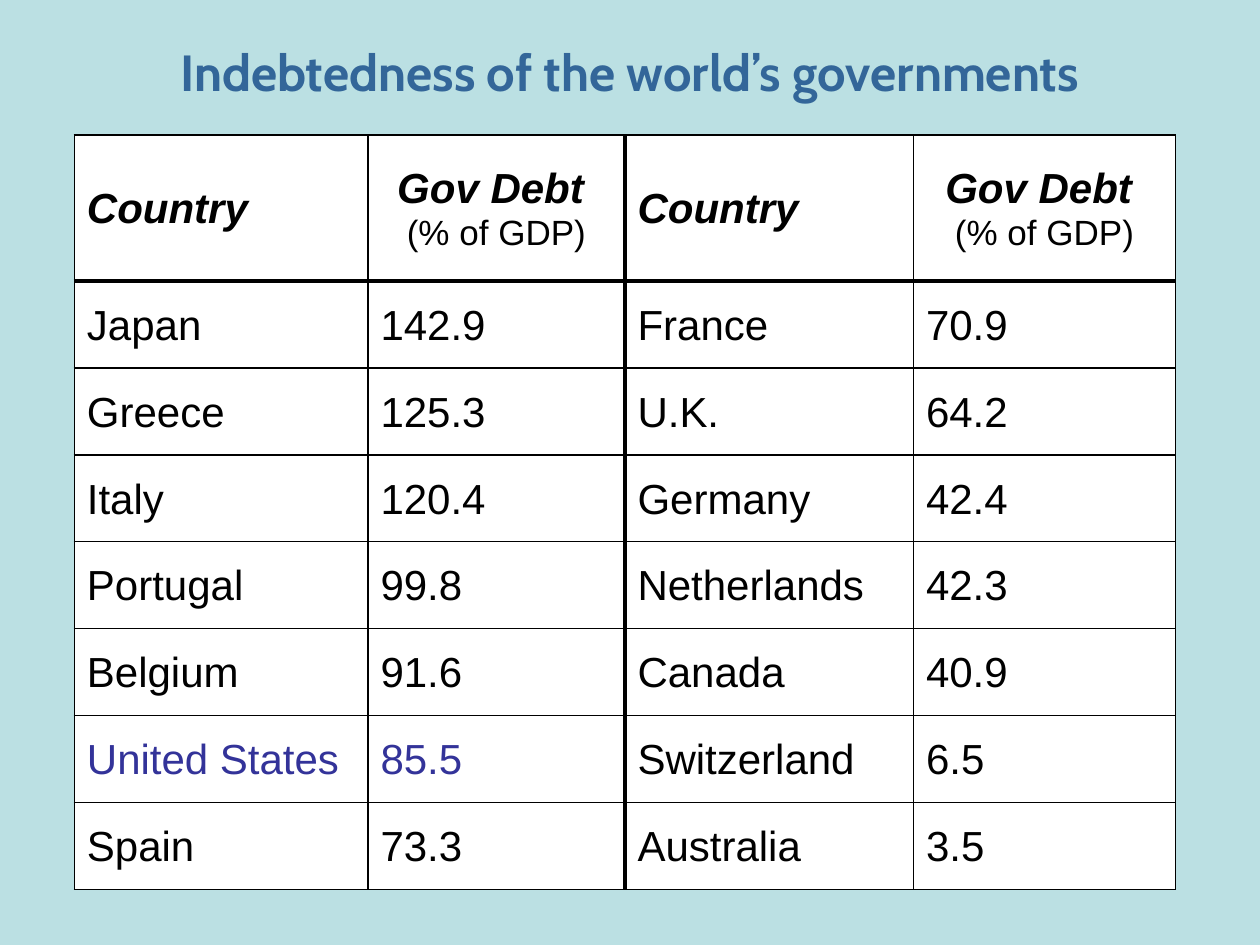
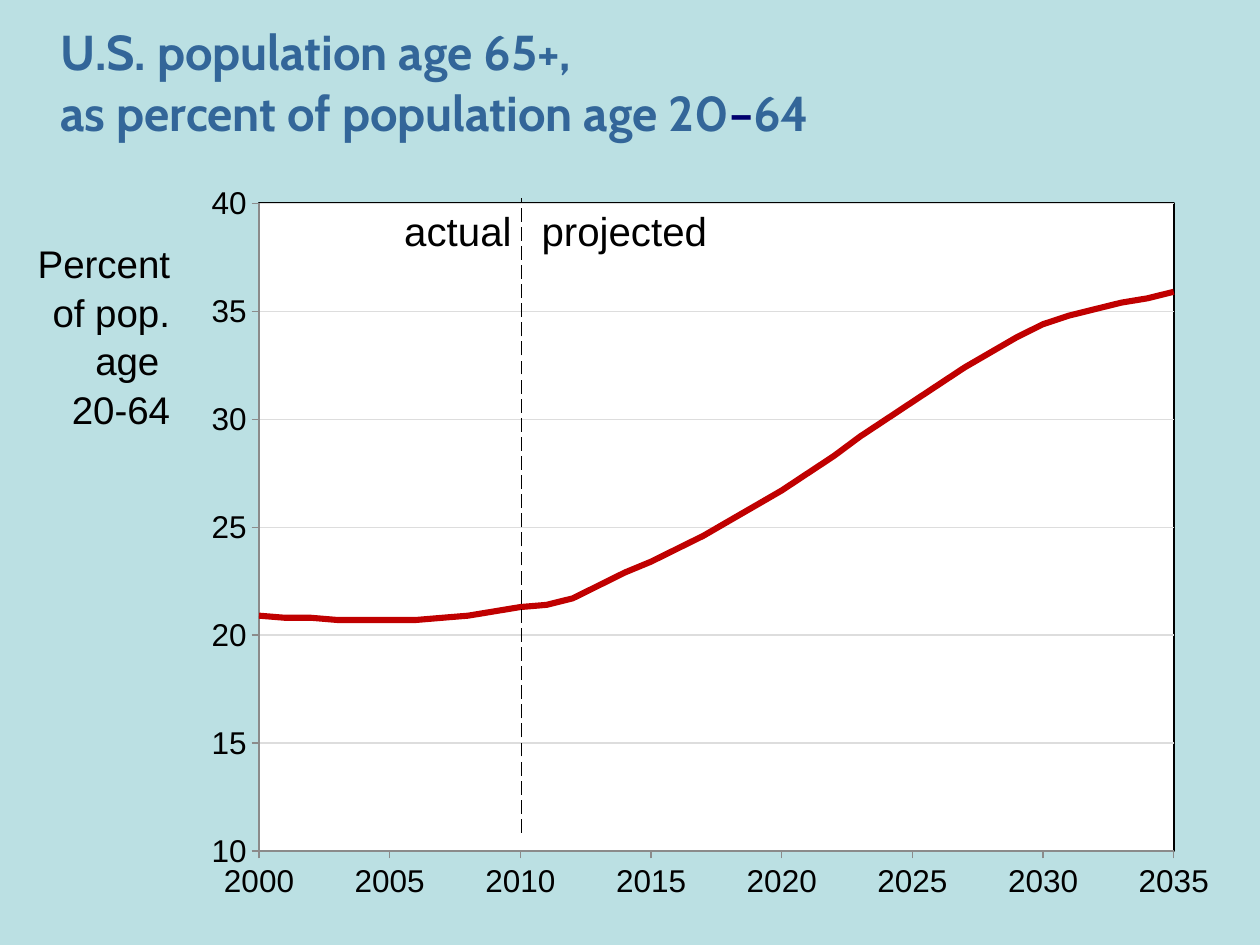
from collections import namedtuple
from copy import deepcopy

from lxml import etree
from pptx import Presentation
from pptx import util as u
from pptx.chart import data as chart_data
from pptx.dml.color import RGBColor
from pptx.enum import chart as chart_kinds, dml, shapes, text
from pptx.oxml import ns, parse_xml

BACKGROUND = RGBColor(0xBB, 0xE0, 0xE3)
TITLE_BLUE = RGBColor(0x33, 0x66, 0x99)
DASH_NAVY = RGBColor(0x00, 0x00, 0x6E)
HIGHLIGHT = RGBColor(0x33, 0x33, 0x99)
BLACK = RGBColor(0, 0, 0)
WHITE = RGBColor(255, 255, 255)
GRID_GREY = RGBColor(0xDD, 0xDD, 0xDD)
AXIS_GREY = RGBColor(0x8B, 0x8B, 0x8B)
CURVE_RED = RGBColor(0xC0, 0, 0)

TITLE_FONT, BODY_FONT = "Cabin", "Arial"
LINE_SPACING = 1.05
THIN, THICK = 1, 2.25
LEFT, CENTER, RIGHT = (text.PP_ALIGN.LEFT, text.PP_ALIGN.CENTER,
                       text.PP_ALIGN.RIGHT)

Box = namedtuple("Box", "left top width height")

DEBT_COLUMNS = [2.33, 2.04, 2.29, 2.08]
HEADER_HEIGHT, ROW_HEIGHT = 1.16, 0.69
DEBTS = [
    ("Japan", "142.9", "France", "70.9"),
    ("Greece", "125.3", "U.K.", "64.2"),
    ("Italy", "120.4", "Germany", "42.4"),
    ("Portugal", "99.8", "Netherlands", "42.3"),
    ("Belgium", "91.6", "Canada", "40.9"),
    ("United States", "85.5", "Switzerland", "6.5"),
    ("Spain", "73.3", "Australia", "3.5"),
]
HIGHLIGHTED = ("United States", "85.5")

FIRST_YEAR, LAST_YEAR = 2000, 2035
OLD_AGE_PERCENTS = [
    20.9, 20.8, 20.8, 20.7, 20.7, 20.7, 20.7, 20.8, 20.9, 21.1, 21.3, 21.4,
    21.7, 22.3, 22.9, 23.4, 24, 24.6, 25.3, 26, 26.7, 27.5, 28.3, 29.2,
    30, 30.8, 31.6, 32.4, 33.1, 33.8, 34.4, 34.8, 35.1, 35.4, 35.6, 35.9,
]


def inches(box):
    return [u.Inches(length) for length in box]


def add_text(para, words, size=24, font=BODY_FONT, color=BLACK, bold=False,
             italic=False, align=LEFT):
    """Append words to para; each newline becomes a line break."""
    para.alignment = align
    para.line_spacing = LINE_SPACING
    for number, line in enumerate(words.split("\n")):
        if number:
            para.add_line_break()
            para._p[-1].append(deepcopy(span.font._element))
        if line:
            span = para.add_run()
            span.text = line
            span.font.name, span.font.size = font, u.Pt(size)
            span.font.bold, span.font.italic = bold, italic
            span.font.color.rgb = color


def clear_margins(frame):
    frame.margin_left = frame.margin_right = 0
    frame.margin_top = frame.margin_bottom = 0


def add_page(deck, box, spans, size, align=LEFT):
    """Add a titled page; spans are (words, colour) pairs."""
    page = deck.slides.add_slide(deck.slide_layouts.get_by_name("Title Only"))
    title = page.shapes.title
    title.left, title.top, title.width, title.height = inches(box)
    frame = title.text_frame
    clear_margins(frame)
    frame.word_wrap = True
    frame.auto_size = text.MSO_AUTO_SIZE.NONE
    frame.vertical_anchor = text.MSO_ANCHOR.MIDDLE
    for words, color in spans:
        add_text(frame.paragraphs[0], words, size=size, font=TITLE_FONT,
                 color=color, bold=True, align=align)
    return page


def add_label(page, box, words, size=23, align=LEFT):
    frame = page.shapes.add_textbox(*inches(box)).text_frame
    frame.word_wrap = True
    add_text(frame.paragraphs[0], words, size=size, align=align)
    return frame


def set_borders(cell, **widths):
    """Draw black cell borders; keys L, R, T, B give widths in points."""
    for side, width in widths.items():
        cell._tc.get_or_add_tcPr().append(parse_xml(
            f'<a:ln{side} {ns.nsdecls("a")} w="{u.Pt(width)}"><a:solidFill>'
            f'<a:srgbClr val="{BLACK}"/></a:solidFill></a:ln{side}>'))


def add_debt_table(page, box):
    rows = len(DEBTS) + 1
    table = page.shapes.add_table(rows, len(DEBT_COLUMNS), *inches(box)).table
    table.first_row = table.horz_banding = False
    for column, width in zip(table.columns, DEBT_COLUMNS):
        column.width = u.Inches(width)
    for r, row in enumerate(table.rows):
        row.height = u.Inches(ROW_HEIGHT if r else HEADER_HEIGHT)
        for c, cell in enumerate(row.cells):
            set_borders(cell, L=THICK if c == 2 else THIN,
                        R=THICK if c == 1 else THIN,
                        T=THICK if r == 1 else THIN,
                        B=THICK if r == 0 else THIN)
            cell.fill.solid()
            cell.fill.fore_color.rgb = WHITE
            cell.vertical_anchor = text.MSO_ANCHOR.MIDDLE
            para = cell.text_frame.paragraphs[0]
            if r:
                words = DEBTS[r - 1][c]
                add_text(para, words,
                         color=HIGHLIGHT if words in HIGHLIGHTED else BLACK)
            elif c % 2:
                add_text(para, "Gov Debt \n", bold=True, italic=True)
                add_text(para, "(% of GDP)", size=20, align=CENTER)
            else:
                add_text(para, "Country", bold=True, italic=True)


def format_axis(axis, low, high):
    axis.minimum_scale, axis.maximum_scale, axis.major_unit = low, high, 5
    axis.major_tick_mark = chart_kinds.XL_TICK_MARK.OUTSIDE
    axis.minor_tick_mark = chart_kinds.XL_TICK_MARK.NONE
    axis.has_major_gridlines = False
    axis.tick_labels.font.size = u.Pt(18)
    axis.tick_labels.number_format = "0"
    axis.tick_labels.number_format_is_linked = False
    axis.format.line.color.rgb = AXIS_GREY


def format_plot_area(chart, **layout):
    """Fix the inner plot area (fractions of the chart) and paint it."""
    area = chart._chartSpace.chart.plotArea
    for old in area.findall(ns.qn("c:layout")):
        area.remove(old)
    holder = etree.Element(ns.qn("c:layout"))
    manual = etree.SubElement(holder, ns.qn("c:manualLayout"))
    settings = dict(layoutTarget="inner", xMode="edge", yMode="edge", **layout)
    for name, value in settings.items():
        etree.SubElement(manual, ns.qn(f"c:{name}")).set("val", str(value))
    area.insert(0, holder)
    area.append(parse_xml(
        f'<c:spPr {ns.nsdecls("c", "a")}><a:solidFill><a:srgbClr val="{WHITE}"/>'
        f'</a:solidFill><a:ln w="{u.Pt(1)}"><a:solidFill>'
        f'<a:srgbClr val="{BLACK}"/></a:solidFill></a:ln></c:spPr>'))


def add_population_chart(page, box):
    data = chart_data.XyChartData()
    points = data.add_series("Age 65+")
    for year, percent in enumerate(OLD_AGE_PERCENTS, FIRST_YEAR):
        points.add_data_point(year, percent)
    chart = page.shapes.add_chart(
        chart_kinds.XL_CHART_TYPE.XY_SCATTER_LINES_NO_MARKERS,
        *inches(box), data).chart
    chart.has_legend = chart.has_title = False
    chart.font.name, chart.font.size = BODY_FONT, u.Pt(10)
    chart.font.color.rgb = BLACK
    format_axis(chart.category_axis, FIRST_YEAR, LAST_YEAR)
    format_axis(chart.value_axis, 10, 40)
    grid = chart.value_axis.major_gridlines.format.line
    grid.color.rgb, grid.width = GRID_GREY, u.Pt(0.75)
    plot = chart.plots[0]
    plot.vary_by_categories = False
    curve = plot.series[0]
    curve.smooth = False
    curve.format.line.color.rgb = CURVE_RED
    curve.format.line.width = u.Pt(3.5)
    format_plot_area(chart, x=0.065, y=0.043, w=0.88, h=0.87)


def add_projection_divider(page, box):
    """Dashed vertical line with a label on each side of its top."""
    divider = page.shapes.add_connector(
        shapes.MSO_CONNECTOR.STRAIGHT,
        *inches((box.left, box.top + box.height, box.left, box.top)))
    divider.line.color.rgb, divider.line.width = BLACK, u.Pt(1)
    divider.line.dash_style = dml.MSO_LINE.LONG_DASH
    etree.SubElement(divider._element.spPr, ns.qn("a:effectLst"))
    add_label(page, Box(box.left - 1.1, box.top, 1.12, 0.48), "actual",
              align=RIGHT)
    add_label(page, Box(box.left + 0.06, box.top, 1.56, 0.48), "projected")


def add_debt_page(deck):
    page = add_page(deck, Box(0, 0.22, 10, 0.66),
                    [("Indebtedness of the world’s governments", TITLE_BLUE)],
                    size=29, align=CENTER)
    add_debt_table(page, Box(0.59, 1.07, 8.75, 6))


def add_population_page(deck):
    page = add_page(
        deck, Box(0.48, 0.33, 9.02, 0.61),
        [("U.S. population age 65+, \nas percent of population age 20",
          TITLE_BLUE), ("–", DASH_NAVY), ("64", TITLE_BLUE)], size=28)
    clear_margins(add_label(page, Box(0.11, 1.89, 1.24, 1.48),
                            "Percent of pop. age \n20-64", size=22,
                            align=RIGHT))
    add_population_chart(page, Box(1.52, 1.36, 8.25, 5.91))
    add_projection_divider(page, Box(4.14, 1.57, 0, 5.04))


def main():
    deck = Presentation()
    deck.slide_width, deck.slide_height = u.Inches(10), u.Inches(7.5)
    fill = deck.slide_master.background.fill
    fill.solid()
    fill.fore_color.rgb = BACKGROUND
    add_debt_page(deck)
    add_population_page(deck)
    deck.save("out.pptx")


if __name__ == "__main__":
    main()
